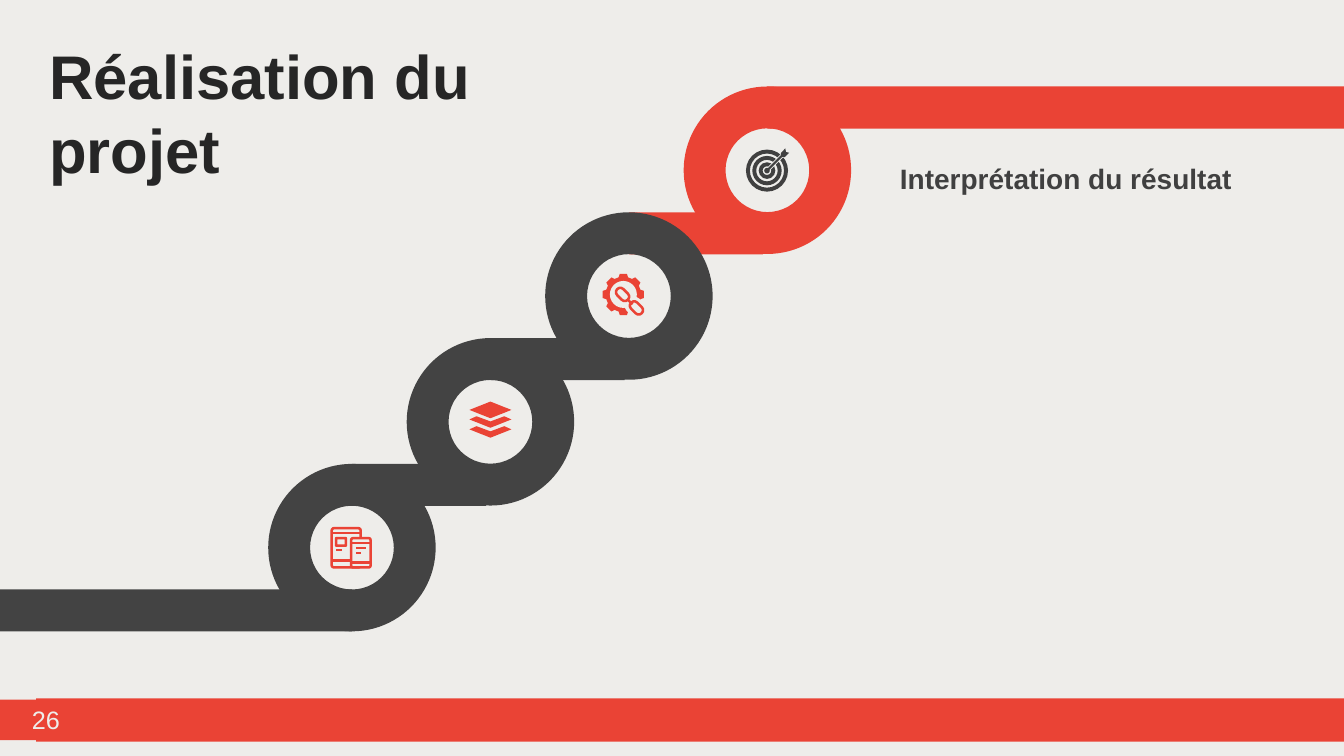
from dataclasses import dataclass
from math import cos, radians, sin

from lxml import etree
from pptx import Presentation
from pptx import util as u
from pptx.dml.color import RGBColor
from pptx.enum import shapes, text
from pptx.oxml import ns


@dataclass(frozen=True)
class Theme:
    paper: RGBColor = RGBColor(0xEE, 0xED, 0xEA)
    red: RGBColor = RGBColor(0xEA, 0x43, 0x35)
    road: RGBColor = RGBColor(0x43, 0x43, 0x43)
    ink: RGBColor = RGBColor(0x40, 0x40, 0x40)
    heading: RGBColor = RGBColor(0x26, 0x26, 0x26)
    font: str = "Arial"
    heading_size: int = 44
    label_size: int = 20
    number_size: int = 18
    stroke: float = 1.8


theme = Theme()
kind = shapes.MSO_SHAPE
deck = Presentation()
deck.slide_width, deck.slide_height = u.Cm(33.87), u.Cm(19.05)
slide = deck.slides.add_slide(deck.slide_layouts[6])
slide.background.fill.solid()
slide.background.fill.fore_color.rgb = theme.paper


def block(form, left, top, width, height, fill=None, line=None):
    part = slide.shapes.add_shape(form, u.Cm(left), u.Cm(top), u.Cm(width), u.Cm(height))
    part.shadow.inherit = False
    if fill is None:
        part.fill.background()
    else:
        part.fill.solid()
        part.fill.fore_color.rgb = fill
    if line is None:
        part.line.fill.background()
    else:
        part.line.color.rgb = line
        part.line.width = u.Pt(theme.stroke)
    return part


def outline(centre, points, fill):
    x, y = centre
    corners = [(x * 100 + dx, y * 100 + dy) for dx, dy in points]
    pen = slide.shapes.build_freeform(*corners[0], scale=u.Cm(1) / 100)
    pen.add_line_segments(corners[1:])
    part = pen.convert_to_shape()
    part.shadow.inherit = False
    part.fill.solid()
    part.fill.fore_color.rgb = fill
    part.line.fill.background()


ring, band = 4.22, 1.06
first_left, first_top = 6.76, 11.69
step_x, step_y = 3.49, 3.17
stages = 4
for stage in reversed(range(stages)):
    left, top = first_left + stage * step_x, first_top - stage * step_y
    last = stage == stages - 1
    road_start = left + ring / 2
    road_length = 33.87 - road_start if last else 3.38
    block(kind.RECTANGLE, road_start, top, road_length, band,
          theme.red if stage >= stages - 2 else theme.road)
    loop = block(kind.DONUT, left, top, ring, ring, theme.red if last else theme.road)
    loop.adjustments[0] = 0.25
block(kind.RECTANGLE, 0, first_top + ring - band, first_left + ring / 2, band, theme.road)

target = (19.33, 4.3)
for radius in (0.53, 0.37, 0.21):
    circle = block(kind.DONUT, target[0] - radius, target[1] - radius,
                   2 * radius, 2 * radius, theme.ink)
    circle.adjustments[0] = 0.1 / (2 * radius)
block(kind.OVAL, target[0] - 0.07, target[1] - 0.07, 0.14, 0.14, theme.ink)
outline(target, [(3, -10), (42, -49), (49, -42), (10, -3)], theme.paper)
outline(target, [(-2, -2), (35, -39), (35, -44), (46, -56), (48, -47),
                 (56, -45), (45, -34), (39, -35), (2, 2)], theme.ink)

gear = (15.71, 7.42)
teeth = [(radius * cos(radians(45 * tooth + turn)), radius * sin(radians(45 * tooth + turn)))
         for tooth in range(8)
         for radius, turn in ((45, -16), (53, -10), (53, 10), (45, 16))]
outline(gear, teeth, theme.red)
hole = 0.34
block(kind.OVAL, gear[0] - hole, gear[1] - hole, 2 * hole, 2 * hole, theme.paper)
for dx, dy, length, width, line in (
    (0.3, 0.32, 0.62, 0.44, None),
    (-0.02, 0, 0.38, 0.22, theme.red),
    (0.33, 0.34, 0.38, 0.22, theme.red),
):
    link = block(kind.ROUNDED_RECTANGLE, gear[0] + dx - length / 2, gear[1] + dy - width / 2,
                 length, width, theme.paper, line)
    link.adjustments[0] = 0.5
    link.rotation = 45

layers = (12.36, 10.57)
outline(layers, [(-53, -24), (0, -45), (53, -24), (0, -3)], theme.red)
for drop in (0, 25):
    chevron = [(-53, 0), (-35, -8), (0, 5), (35, -8), (53, 0), (0, 21)]
    outline(layers, [(x, y + drop) for x, y in chevron], theme.red)

devices = (8.85, 13.8)
for dx, dy, width, height, rounding in (
    (-0.49, -0.49, 0.73, 0.99, 0.08),
    (0, -0.24, 0.49, 0.74, 0.1),
    (-0.38, -0.24, 0.25, 0.19, 0.06),
):
    screen = block(kind.ROUNDED_RECTANGLE, devices[0] + dx, devices[1] + dy,
                   width, height, theme.paper, theme.red)
    screen.adjustments[0] = rounding

for (x, y), x1, y1, x2, y2 in (
    (gear, 0.09, 0.11, 0.23, 0.25),
    (devices, -0.49, -0.37, 0.24, -0.37),
    (devices, -0.49, 0.32, 0, 0.32),
    (devices, -0.38, 0.06, -0.22, 0.06),
    (devices, 0, -0.12, 0.49, -0.12),
    (devices, 0, 0.38, 0.49, 0.38),
    (devices, 0.12, 0.01, 0.37, 0.01),
    (devices, 0.12, 0.13, 0.25, 0.13),
):
    stroke = slide.shapes.add_connector(
        shapes.MSO_CONNECTOR.STRAIGHT, u.Cm(x + x1), u.Cm(y + y1), u.Cm(x + x2), u.Cm(y + y2))
    stroke.line.color.rgb = theme.red
    stroke.line.width = u.Pt(theme.stroke)
    etree.SubElement(stroke._element.spPr, ns.qn("a:effectLst"))

block(kind.RECTANGLE, 0.91, 17.6, 32.96, 1.09, theme.red)
left_align, centre_align = text.PP_ALIGN.LEFT, text.PP_ALIGN.CENTER
top_anchor, middle_anchor = text.MSO_ANCHOR.TOP, text.MSO_ANCHOR.MIDDLE
for wording, place, fill, size, colour, bold, align, anchor in (
    ("Réalisation du projet", (0.99, 0.81, 11.3, 4.01), None,
     theme.heading_size, theme.heading, True, left_align, middle_anchor),
    ("Interprétation du résultat", (22.43, 3.94, 9.78, 1.96), None,
     theme.label_size, theme.ink, True, left_align, top_anchor),
    ("26", (0, 17.63, 2.31, 1.02), theme.red,
     theme.number_size, theme.paper, False, centre_align, top_anchor),
):
    frame = block(kind.RECTANGLE, *place, fill).text_frame
    frame.word_wrap = True
    frame.vertical_anchor = anchor
    frame.text = wording
    paragraph = frame.paragraphs[0]
    paragraph.alignment = align
    font = paragraph.runs[0].font
    font.name, font.size, font.bold = theme.font, u.Pt(size), bold
    font.color.rgb = colour

deck.save("out.pptx")
